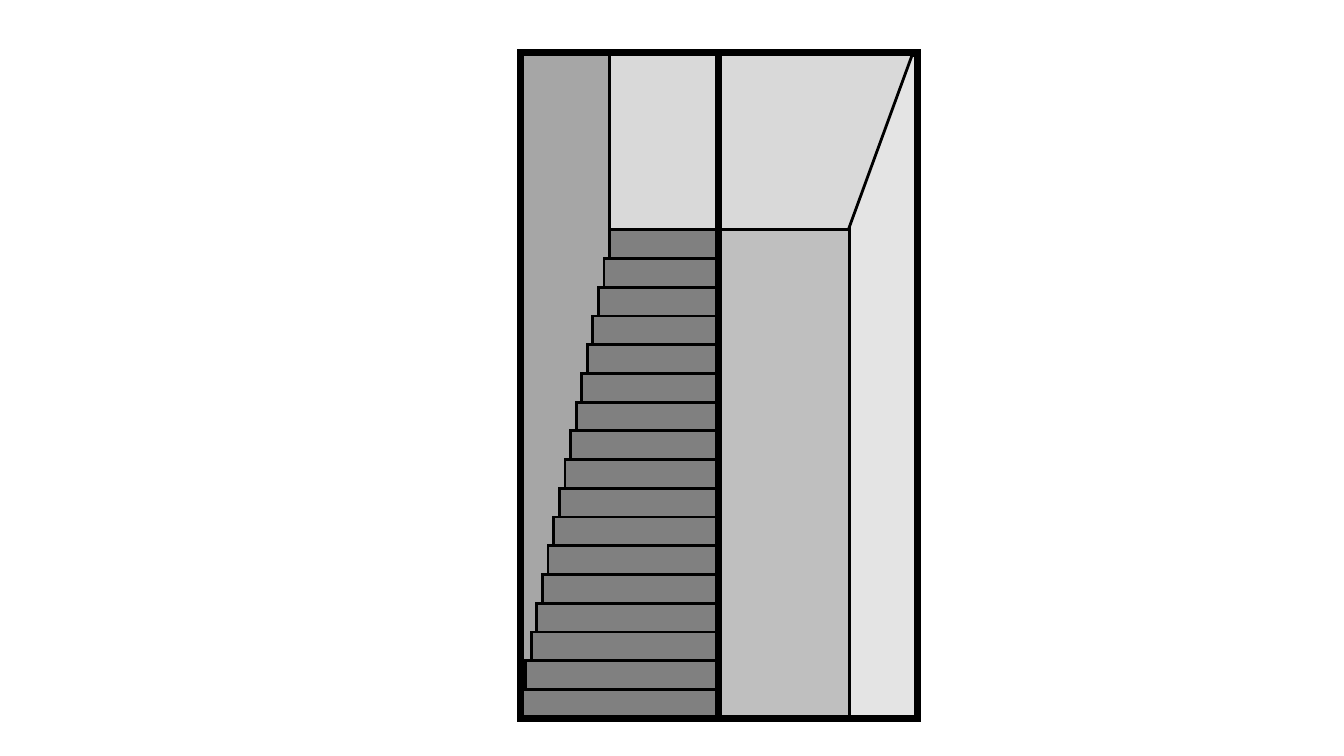
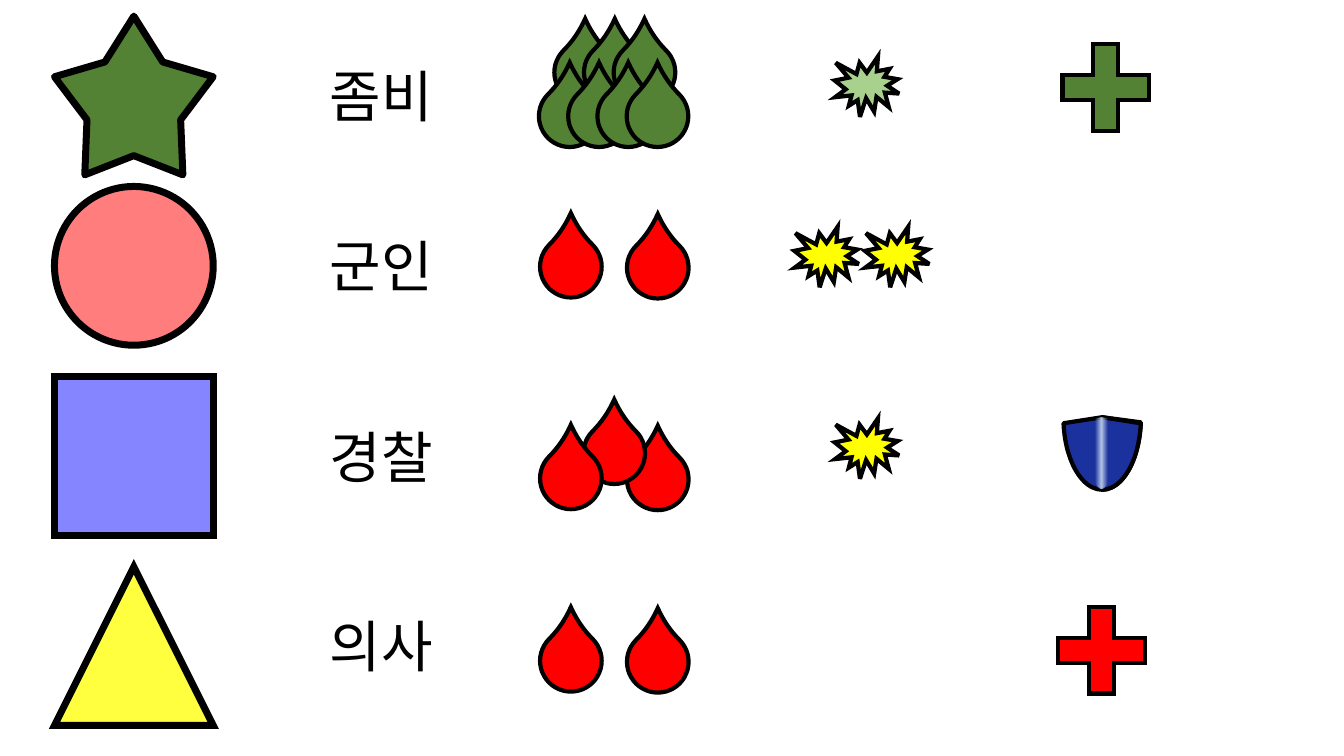
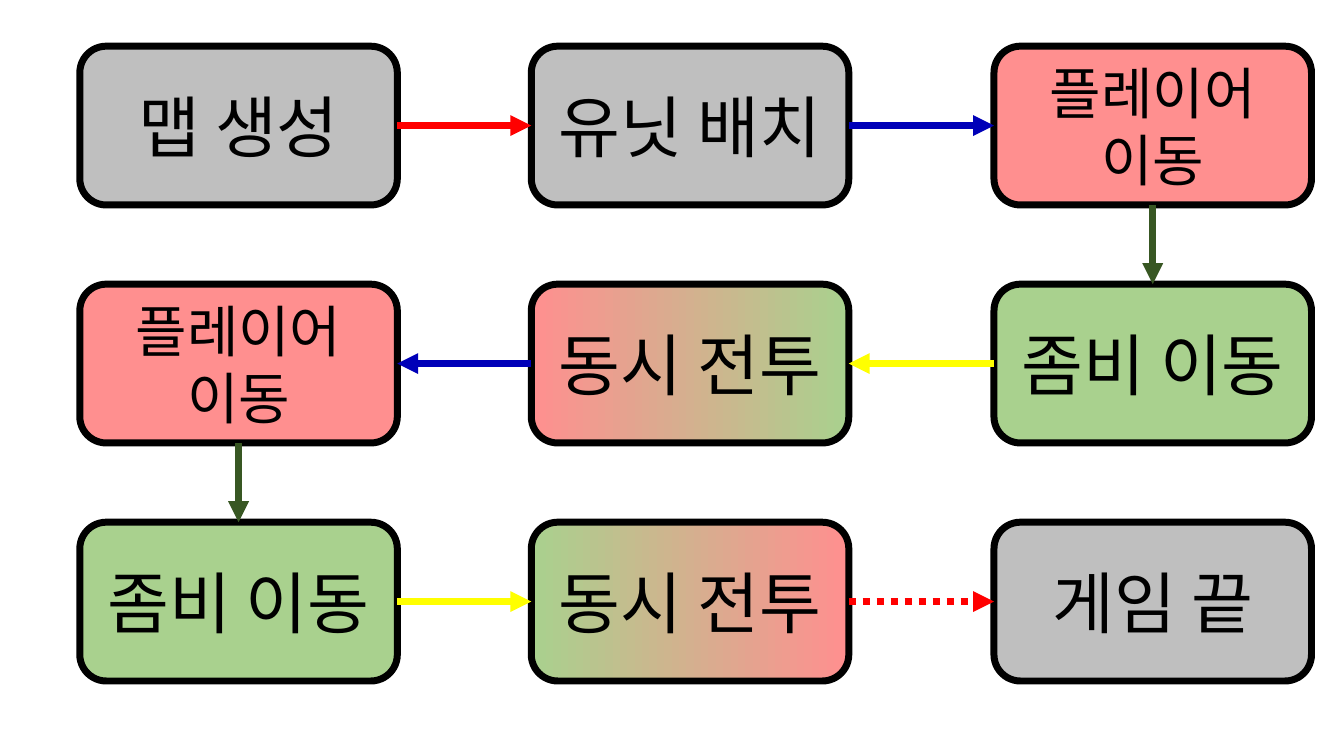
from itertools import pairwise

from lxml import etree
from pptx import Presentation
from pptx.dml import color as c
from pptx.enum import dml, shapes, text
from pptx.oxml import ns
from pptx.util import Pt

FONT = "Noto Sans CJK KR"
SHAPE = shapes.MSO_SHAPE
COLORS = {
    "black": "000000",
    "side_wall": "E4E4E4",
    "ceiling": "D9D9D9",
    "stair_wall": "A6A6A6",
    "step": "808080",
    "gray": "BFBFBF",
    "green": "548235",
    "dark_green": "385723",
    "light_green": "A9D18E",
    "red": "FF0000",
    "pink": "FF8F8F",
    "soldier": "FF7D7D",
    "police": "8585FF",
    "doctor": "FFFF3F",
    "yellow": "FFFF00",
    "blue": "0000B8",
    "shield": "1B319D",
    "gloss": "B4C7E7",
}


def rgb(name):
    return c.RGBColor.from_string(COLORS[name])


def add_xml(parent, tag, **attributes):
    return etree.SubElement(parent, ns.qn(tag), attributes)


def fill_gradient(shape, stops):
    shape.fill.gradient()
    shape.fill.gradient_angle = 0
    stop_list = shape._element.spPr.find(".//" + ns.qn("a:gsLst"))
    for stop in list(stop_list):
        stop_list.remove(stop)
    for position, color, opacity in stops:
        stop = add_xml(stop_list, "a:gs", pos=str(position * 1000))
        paint = add_xml(stop, "a:srgbClr", val=COLORS[color])
        if opacity < 100:
            add_xml(paint, "a:alpha", val=str(opacity * 1000))


def add_figure(page, kind, left, top, width, height, fill=None, weight=2,
               adjust=(), rotation=0, miter=True):
    shape = page.shapes.add_shape(kind, Pt(left), Pt(top), Pt(width), Pt(height))
    shape.shadow.inherit = False
    shape.rotation = rotation
    for index, value in enumerate(adjust):
        shape.adjustments[index] = value
    if fill is None:
        shape.fill.background()
    elif isinstance(fill, str):
        shape.fill.solid()
        shape.fill.fore_color.rgb = rgb(fill)
    else:
        fill_gradient(shape, fill)
    if weight:
        shape.line.color.rgb = rgb("black")
        shape.line.width = Pt(weight)
        if miter:
            add_xml(shape.line._get_or_add_ln(), "a:miter", lim="800000")
    else:
        shape.line.fill.background()
    return shape


def write(shape, words, size):
    para = shape.text_frame.paragraphs[0]
    para.text = words
    para.alignment = text.PP_ALIGN.CENTER
    para.font.size = Pt(size)
    para.font.color.rgb = rgb("black")
    para.font.name = FONT
    add_xml(para.font._rPr, "a:ea", typeface=FONT)


def add_label(page, words, left, top, width, height):
    box = page.shapes.add_textbox(Pt(left), Pt(top), Pt(width), Pt(height))
    box.text_frame.word_wrap = True
    box.text_frame.auto_size = text.MSO_AUTO_SIZE.SHAPE_TO_FIT_TEXT
    write(box, words, 40)


def add_arrow(page, start, end, color, dotted=False):
    if start.left == end.left:
        start_side, end_side = 2, 0
    elif start.left < end.left:
        start_side, end_side = 3, 1
    else:
        start_side, end_side = 1, 3
    arrow = page.shapes.add_connector(shapes.MSO_CONNECTOR.STRAIGHT, 0, 0, 0, 0)
    arrow.begin_connect(start, start_side)
    arrow.end_connect(end, end_side)
    arrow.line.color.rgb = rgb(color)
    arrow.line.width = Pt(5)
    if dotted:
        arrow.line.dash_style = dml.MSO_LINE.ROUND_DOT
    add_xml(arrow.line._get_or_add_ln(), "a:tailEnd", type="triangle")
    add_xml(arrow._element.spPr, "a:effectLst")


def add_drops(page, color, places):
    for left, top in places:
        add_figure(page, SHAPE.TEAR, left, top, 44, 44, color, 3, [1.232], 315)


def add_bursts(page, color, places):
    for left, top in places:
        add_figure(page, SHAPE.EXPLOSION1, left, top, 46, 43.2, color, 3)


def add_cross(page, color, left, top):
    add_figure(page, SHAPE.CROSS, left, top, 62, 62, color, 3, [0.356])


def add_shield(page, left, top):
    for angles in ((4.526, 53.867), (5.386, 102.634)):
        add_figure(page, SHAPE.PIE, left, top, 55.4, 103.7, "shield", 3, angles,
                   miter=False)
    gloss = [(30, "gloss", 0), (50, "gloss", 100), (70, "gloss", 0)]
    add_figure(page, SHAPE.PIE, left + 15.8, top + 1.5, 23, 101.5, gloss, 0,
               (5.43, 101.879))


def build_stairs(page):
    left, middle, top, bottom = 371.5, 513.4, 37.5, 513
    width, height = middle - left, bottom - top
    rise, run, landing = 20.52, 4, 164.2
    rect = SHAPE.RECTANGLE
    add_figure(page, rect, 607, 39.5, 48.3, 473.5, "side_wall")
    add_figure(page, SHAPE.PARALLELOGRAM, 462.2, top, 190, landing - top,
               "ceiling", adjust=[0.365])
    add_figure(page, rect, left, top, width, height, "ceiling", 0)
    add_figure(page, rect, left, top, 64, height, "stair_wall")
    for index in range(17):
        add_figure(page, rect, left + run * index, bottom - rise * (index + 1),
                   width - run * index, rise, "step")
    add_figure(page, rect, left, top, width, height, weight=5)
    add_figure(page, rect, middle, landing, 93.6, bottom - landing, "gray")
    add_figure(page, rect, middle, top, width, height, weight=5)


def build_units(page):
    units = [
        ("좀비", SHAPE.STAR_5_POINT, "green", 11.5, [0.295]),
        ("군인", SHAPE.OVAL, "soldier", 133.2, []),
        ("경찰", SHAPE.RECTANGLE, "police", 269.2, []),
        ("의사", SHAPE.ISOSCELES_TRIANGLE, "doctor", 404.8, []),
    ]
    for name, kind, color, top, adjust in units:
        add_figure(page, kind, 38.9, top, 113.4, 113.4, color, 5, adjust,
                   miter=kind != SHAPE.STAR_5_POINT)
        add_label(page, name, 194.4, top + 28.8, 156.2, 55.7)

    near, center, far = 385.8, 416.8, 447.9
    add_drops(page, "green", [(396 + 21.2 * index, 29.7) for index in range(3)])
    add_drops(page, "green", [(385 + 20.9 * index, 61) for index in range(4)])
    add_drops(page, "red", [(near, 168.5), (far, 169.2)])
    add_drops(page, "red", [(far, 320.4), (center, 301.7), (near, 319.7)])
    add_drops(page, "red", [(near, 450), (far, 450.7)])

    add_bursts(page, "light_green", [(596.2, 40.3)])
    add_bursts(page, "yellow", [(567.4, 162), (617.8, 162), (596.2, 298.8)])
    add_cross(page, "green", 758.9, 31.7)
    add_cross(page, "red", 756, 433.4)
    add_shield(page, 759.6, 246.2)


def build_turns(page):
    player_to_zombie = [(0, "pink", 100), (100, "light_green", 100)]
    zombie_to_player = [(0, "light_green", 100), (100, "pink", 100)]
    columns = (57, 379.5, 710)
    stages = [
        ("맵 생성", 0, 0, "gray", 48),
        ("유닛 배치", 1, 0, "gray", 48),
        ("플레이어 이동", 2, 0, "pink", 40),
        ("좀비 이동", 2, 1, "light_green", 48),
        ("동시 전투", 1, 1, player_to_zombie, 48),
        ("플레이어 이동", 0, 1, "pink", 40),
        ("좀비 이동", 0, 2, "light_green", 48),
        ("동시 전투", 1, 2, zombie_to_player, 48),
        ("게임 끝", 2, 2, "gray", 48),
    ]
    boxes = []
    for words, column, row, fill, size in stages:
        box = add_figure(page, SHAPE.ROUNDED_RECTANGLE, columns[column],
                         33 + 170 * row, 226.8, 113.4, fill, 5)
        box.text_frame.vertical_anchor = text.MSO_ANCHOR.MIDDLE
        write(box, words, size)
        boxes.append(box)
    colors = ("red", "blue", "dark_green", "yellow",
              "blue", "dark_green", "yellow", "red")
    for (start, end), color in zip(pairwise(boxes), colors):
        add_arrow(page, start, end, color, dotted=end is boxes[-1])


def main():
    deck = Presentation()
    deck.slide_width, deck.slide_height = Pt(960), Pt(540)
    for build in (build_stairs, build_units, build_turns):
        build(deck.slides.add_slide(deck.slide_layouts[6]))
    deck.save("out.pptx")


if __name__ == "__main__":
    main()
